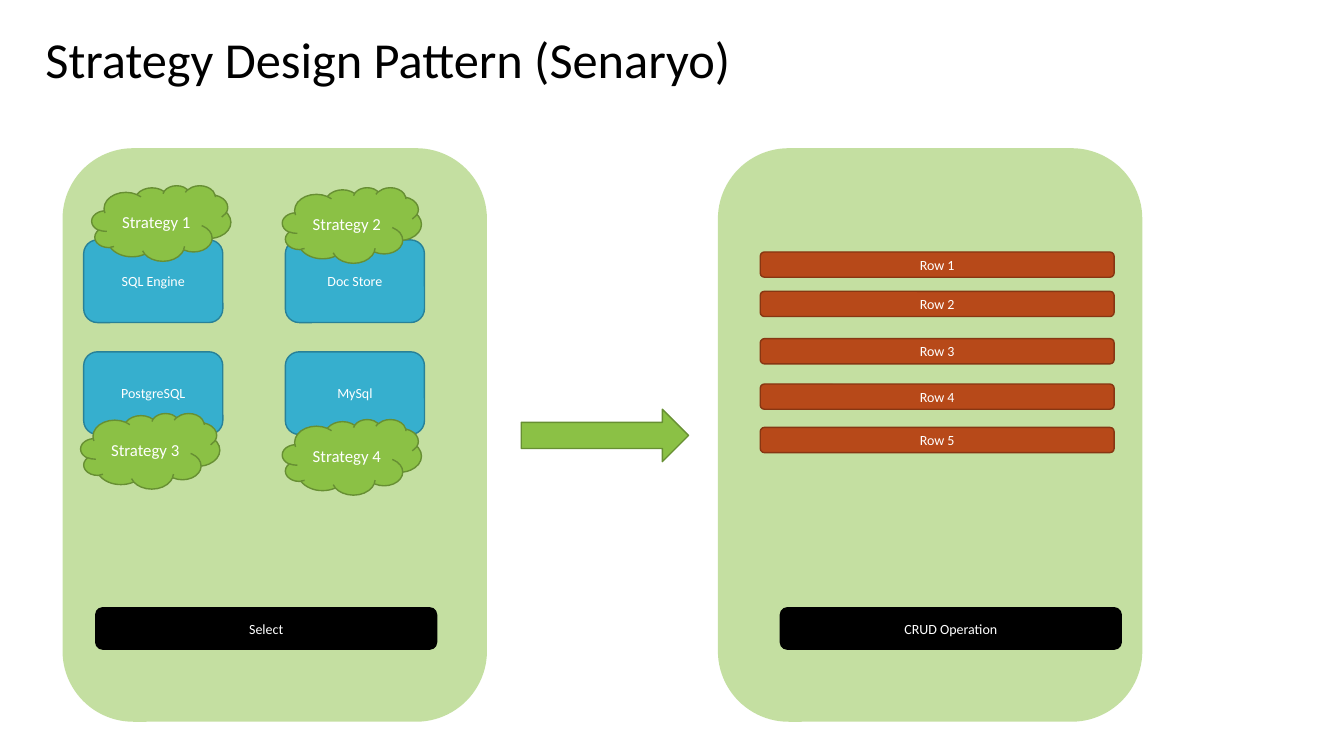
from dataclasses import dataclass

from lxml import etree
from pptx import Presentation
from pptx.dml.color import RGBColor
from pptx.enum.shapes import MSO_SHAPE
from pptx.enum.text import MSO_ANCHOR, MSO_AUTO_SIZE, PP_ALIGN
from pptx.oxml.ns import qn
from pptx.util import Pt

ROUND = MSO_SHAPE.ROUNDED_RECTANGLE
CLOUD = MSO_SHAPE.CLOUD
ARROW = MSO_SHAPE.RIGHT_ARROW
LEFT, CENTER = PP_ALIGN.LEFT, PP_ALIGN.CENTER
BOTTOM, MIDDLE = MSO_ANCHOR.BOTTOM, MSO_ANCHOR.MIDDLE
TITLE_ONLY = 5
PX = 9144  # EMU in one px, 100 px to the inch


@dataclass(frozen=True)
class Theme:
    font: str = "Calibri"
    ink: str = "000000"
    paper: str = "FFFFFF"
    green: str = "8BC145"
    moss: str = "678F33"
    blue: str = "36AFCE"
    teal: str = "288198"
    rust: str = "B74919"
    brown: str = "873612"
    head: int = 36
    body: int = 12
    small: int = 10


class Board:
    def __init__(self, slide, theme):
        self.slide = slide
        self.theme = theme

    def label(self, frame, text, size, color, align, anchor):
        frame.text = text
        frame.word_wrap = True
        frame.vertical_anchor = anchor
        para = frame.paragraphs[0]
        para.alignment = align
        for run in para.runs:
            run.font.name = self.theme.font
            run.font.size = Pt(size)
            run.font.color.rgb = RGBColor.from_string(color)

    def title(self, text, *box):
        head = self.slide.shapes.title
        head.left, head.top, head.width, head.height = (n * PX for n in box)
        frame = head.text_frame
        self.label(frame, text, self.theme.head, self.theme.ink, LEFT, BOTTOM)
        frame.auto_size = MSO_AUTO_SIZE.NONE
        frame.paragraphs[0].line_spacing = 0.9

    def shape(self, kind, box, fill, line=None, text="", size=None):
        item = self.slide.shapes.add_shape(kind, *(n * PX for n in box))
        item.shadow.inherit = False
        item.fill.solid()
        item.fill.fore_color.rgb = RGBColor.from_string(fill)
        if line:
            item.line.color.rgb = RGBColor.from_string(line)
            item.line.width = Pt(1)
        else:
            item.line.fill.background()
        if text:
            self.label(item.text_frame, text, size or self.theme.small,
                       self.theme.paper, CENTER, MIDDLE)
        return item

    def panel(self, left):
        """Draw a tall half-transparent panel."""
        item = self.shape(ROUND, (left, 147, 421, 569), self.theme.green)
        fill = item.element.spPr.find(qn("a:solidFill"))
        color = fill.find(qn("a:srgbClr"))
        etree.SubElement(color, qn("a:alpha")).set("val", "50000")

    def store(self, left, top, text):
        self.shape(ROUND, (left, top, 138, 82), self.theme.blue,
                   self.theme.teal, text)

    def button(self, left, text):
        self.shape(ROUND, (left, 603, 338, 41), self.theme.ink,
                   self.theme.ink, text)

    def row(self, top, text):
        self.shape(ROUND, (754, top, 351, 25), self.theme.rust,
                   self.theme.brown, text)

    def cloud(self, left, top, text):
        self.shape(CLOUD, (left, top, 138, 75), self.theme.green,
                   self.theme.moss, text, self.theme.body)

    def arrow(self, *box):
        self.shape(ARROW, box, self.theme.green, self.theme.moss)


def main():
    deck = Presentation()
    deck.slide_width, deck.slide_height = 1333 * PX, 750 * PX
    slide = deck.slides.add_slide(deck.slide_layouts[TITLE_ONLY])
    board = Board(slide, Theme())

    board.title("Strategy Design Pattern (Senaryo)", 35, 34, 787, 60)

    board.panel(62)
    stores = ["SQL Engine", "Doc Store", "PostgreSQL", "MySql"]
    for i, name in enumerate(stores):
        board.store(83 + i % 2 * 200, 238 + i // 2 * 111, name)
    board.button(95, "Select")

    board.panel(712)
    board.button(774, "CRUD Operation")
    for i, top in enumerate((250, 289, 336, 381, 424), 1):
        board.row(top, f"Row {i}")

    spots = [(91, 184), (280, 186), (80, 410), (280, 416)]
    for i, (left, top) in enumerate(spots, 1):
        board.cloud(left, top, f"Strategy {i}")
    board.arrow(517, 406, 166, 52)

    deck.save("out.pptx")


if __name__ == "__main__":
    main()
